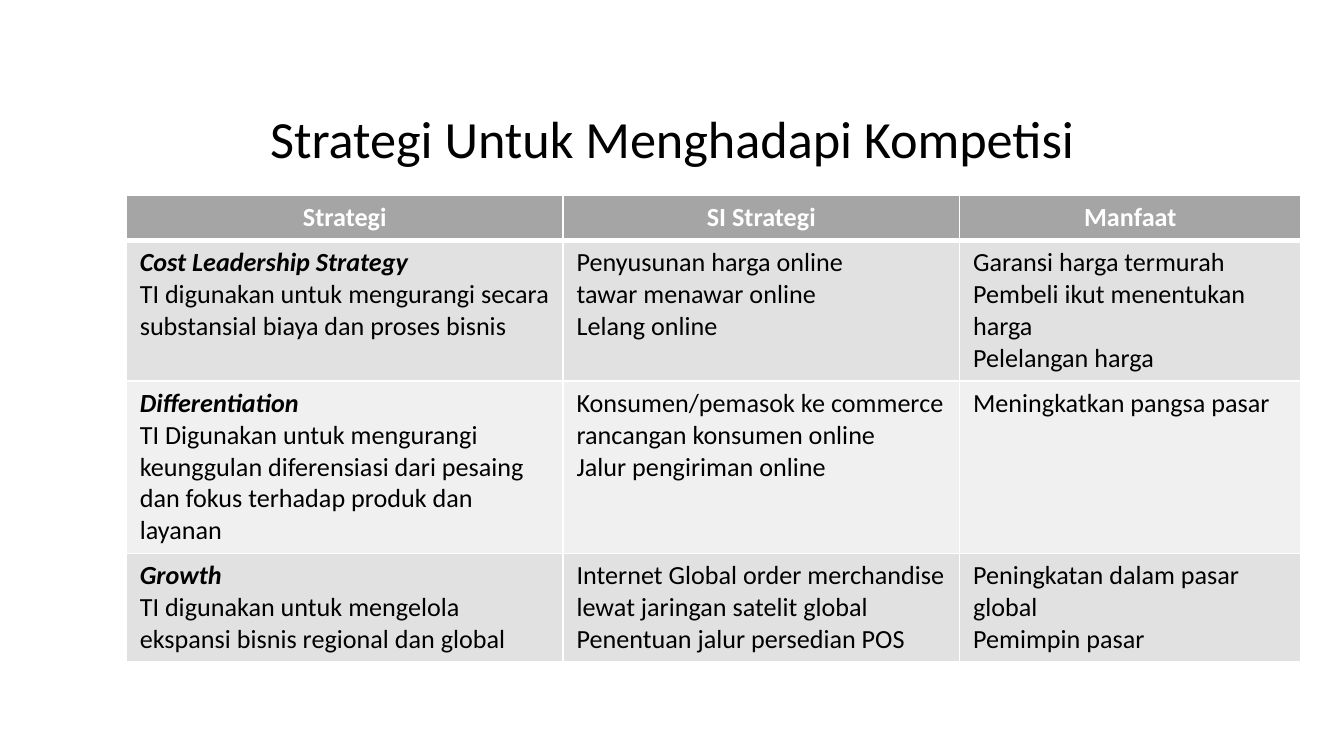
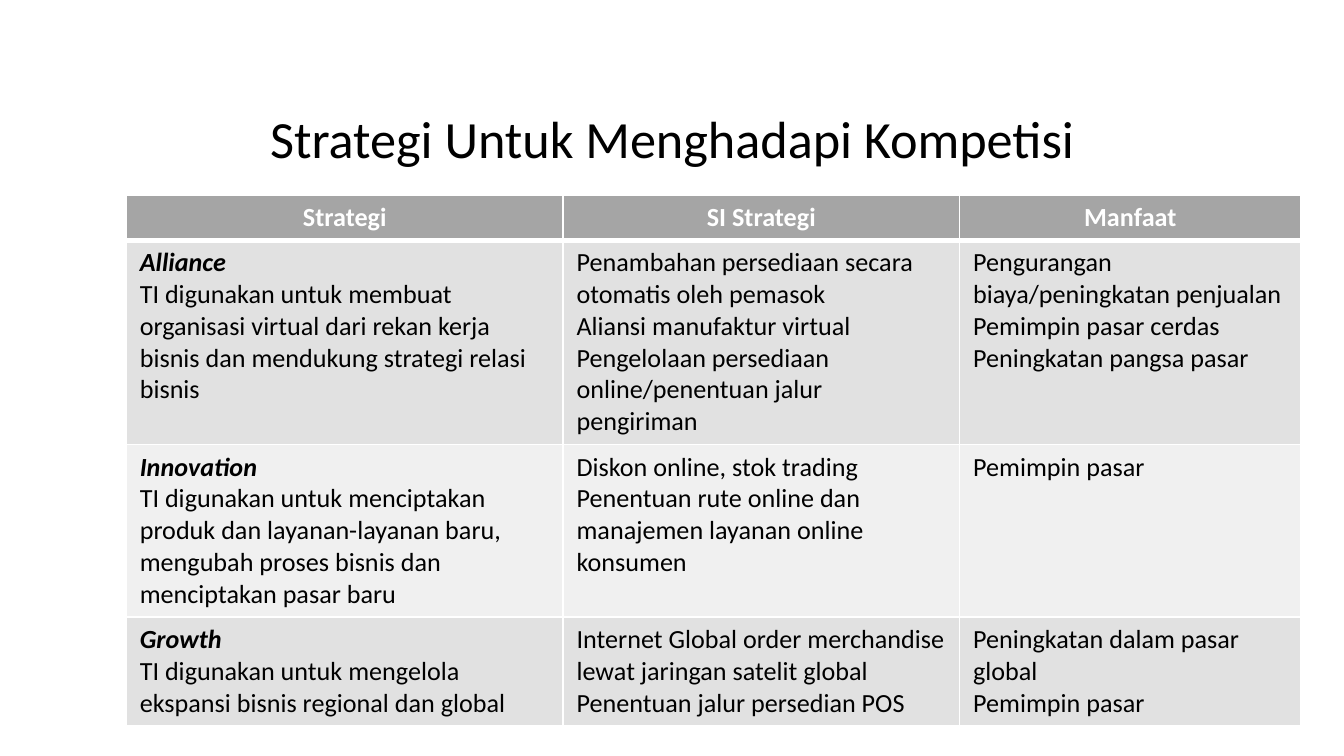
from lxml.etree import SubElement
from pptx import Presentation
from pptx.dml.color import RGBColor
from pptx.enum.text import MSO_ANCHOR as Anchor, MSO_AUTO_SIZE as AutoSize, PP_ALIGN as Align
from pptx.oxml.ns import qn
from pptx.util import Inches, Pt

COLORS = {"text": "000000", "white": "FFFFFF", "header": "A5A5A5",
          "odd": "E1E1E1", "even": "F0F0F0"}
FONT = "Calibri"
TITLE = "Strategi Untuk Menghadapi Kompetisi"
TITLE_BOX = (0.69, 0.72, 8.62, 0.67)
TABLE_LEFT, TABLE_TOP, TABLE_WIDTH = 0.94, 1.45, 8.73
COLUMN_WIDTHS = (3.25, 2.95, 2.54)
HEADER_HEIGHT, ROW_HEIGHT = 0.27, 0.41
HEADERS = ("Strategi", "SI Strategi", "Manfaat")

GROWTH = (
    "Growth\nTI digunakan untuk mengelola ekspansi bisnis regional dan global",
    "Internet Global order merchandise lewat jaringan satelit global\n"
    "Penentuan jalur persedian POS",
    "Peningkatan dalam pasar global\nPemimpin pasar",
)
PAGES = [
    (3.43, [
        ("Cost Leadership Strategy\n"
         "TI digunakan untuk mengurangi secara substansial biaya dan proses bisnis",
         "Penyusunan harga online\ntawar menawar online\nLelang online",
         "Garansi harga termurah\nPembeli ikut menentukan harga\nPelelangan harga"),
        ("Differentiation\n"
         "TI Digunakan untuk mengurangi keunggulan diferensiasi dari pesaing "
         "dan fokus terhadap produk dan layanan",
         "Konsumen/pemasok ke commerce rancangan konsumen online\n"
         "Jalur pengiriman online",
         "Meningkatkan pangsa pasar"),
        GROWTH,
    ]),
    (3.9, [
        ("Alliance\n"
         "TI digunakan untuk membuat organisasi virtual dari rekan kerja bisnis "
         "dan mendukung strategi relasi bisnis",
         "Penambahan persediaan secara otomatis oleh pemasok\n"
         "Aliansi manufaktur virtual\n"
         "Pengelolaan persediaan online/penentuan jalur pengiriman",
         "Pengurangan biaya/peningkatan penjualan\nPemimpin pasar cerdas\n"
         "Peningkatan pangsa pasar"),
        ("Innovation\n"
         "TI digunakan untuk menciptakan produk dan layanan-layanan baru, "
         "mengubah proses bisnis dan menciptakan pasar baru",
         "Diskon online, stok trading\n"
         "Penentuan rute online dan manajemen layanan online konsumen",
         "Pemimpin pasar"),
        GROWTH,
    ]),
]


def style_para(para, size, color, bold=False, italic=False):
    """Format every run of a paragraph."""
    for span in para.runs:
        font = span.font
        font.name, font.size = FONT, Pt(size)
        font.bold, font.italic = bold, italic
        font.color.rgb = RGBColor.from_string(COLORS[color])


def set_borders(cell, top, bottom):
    """Give a cell white borders with the given top and bottom widths."""
    props = cell._tc.get_or_add_tcPr()
    for index, (side, width) in enumerate(
            (("L", 1), ("R", 1), ("T", top), ("B", bottom))):
        line = SubElement(props, qn(f"a:ln{side}"), w=str(Pt(width)))
        fill = SubElement(line, qn("a:solidFill"))
        SubElement(fill, qn("a:srgbClr"), val=COLORS["white"])
        props.insert(index, line)


def fill_cell(cell, text, row, column):
    """Write and format one cell according to its place in the table."""
    header = row == 0
    cell.text_frame.text = text
    for index, para in enumerate(cell.text_frame.paragraphs):
        strategy_name = not header and column == 0 and index == 0
        para.alignment = Align.CENTER if header else Align.LEFT
        style_para(para, 14, "white" if header else "text",
                   header or strategy_name, strategy_name)
    shade = "header" if header else "odd" if row % 2 else "even"
    cell.fill.solid()
    cell.fill.fore_color.rgb = RGBColor.from_string(COLORS[shade])
    set_borders(cell, 3 if row == 1 else 1, 3 if header else 1)


def add_title(page, box):
    """Place the slide title in its box."""
    title = page.shapes.title
    title.left, title.top, title.width, title.height = map(Inches, box)
    frame = title.text_frame
    frame.text = TITLE
    frame.auto_size = AutoSize.NONE
    frame.vertical_anchor = Anchor.MIDDLE
    para = frame.paragraphs[0]
    para.alignment, para.line_spacing = Align.CENTER, 0.9
    style_para(para, 28, "text")


def add_strategy_table(page, box, strategies):
    """Place the strategy table in its box."""
    rows = [HEADERS, *strategies]
    holder = page.shapes.add_table(len(rows), len(HEADERS), *map(Inches, box))
    table = holder.table
    for column, width in zip(table.columns, COLUMN_WIDTHS):
        column.width = Inches(width)
    for row, texts in enumerate(rows):
        table.rows[row].height = Inches(ROW_HEIGHT if row else HEADER_HEIGHT)
        for column, text in enumerate(texts):
            fill_cell(table.cell(row, column), text, row, column)
    holder.height = Inches(box[3])


def main():
    """Build and save the deck."""
    deck = Presentation()
    deck.slide_width = Inches(10)
    deck.slide_height = deck.slide_width * 9 // 16
    for height, strategies in PAGES:
        page = deck.slides.add_slide(deck.slide_layouts.get_by_name("Title Only"))
        add_title(page, TITLE_BOX)
        add_strategy_table(page, (TABLE_LEFT, TABLE_TOP, TABLE_WIDTH, height), strategies)
    deck.save("out.pptx")


if __name__ == "__main__":
    main()
